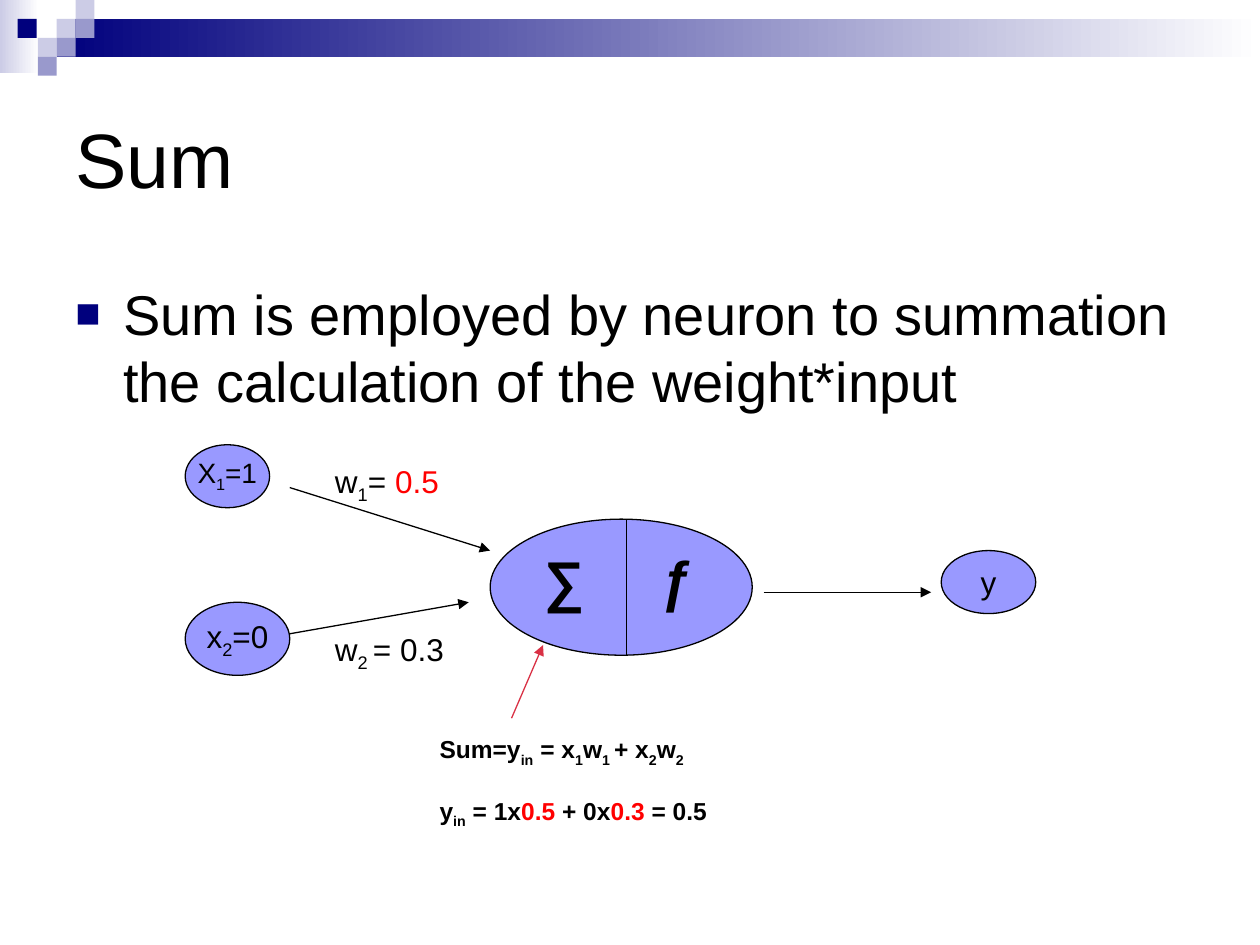
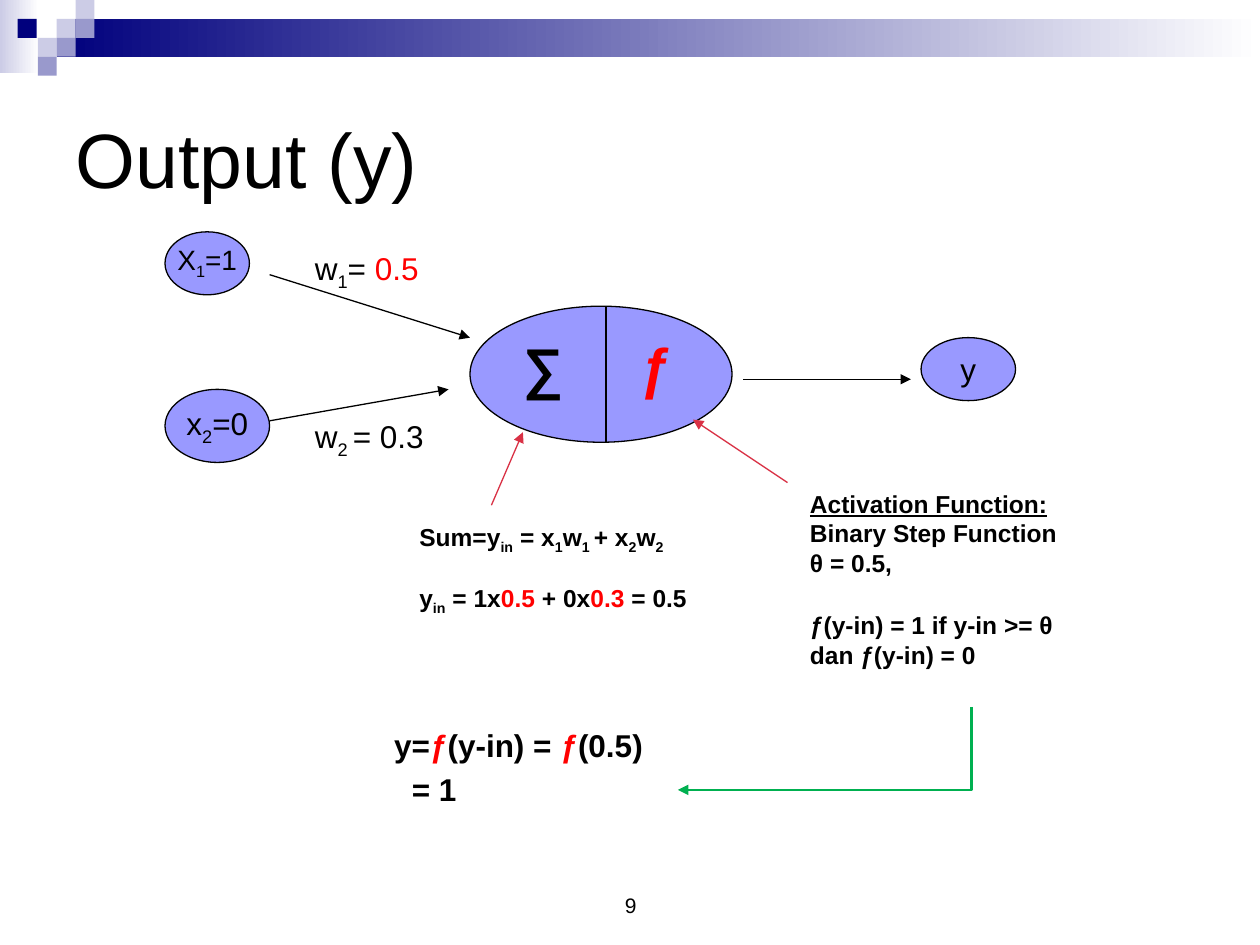
from dataclasses import dataclass

from lxml.etree import SubElement
from pptx import Presentation
from pptx.dml.color import RGBColor
from pptx.enum.shapes import MSO_CONNECTOR, MSO_SHAPE
from pptx.enum.text import MSO_ANCHOR, PP_ALIGN
from pptx.oxml.ns import qn
from pptx.util import Inches, Pt

COLUMNS, ROWS = 100, 75
TITLE_ONLY = 5


@dataclass(frozen=True)
class Theme:
    font: str = "Arial"
    ink: str = "000000"
    accent: str = "FF0000"
    pointer: str = "D93145"
    result: str = "00B050"
    node: str = "9999FF"
    navy: str = "00007D"
    pale: str = "CCCCE6"
    mid: str = "9999CC"
    paper: str = "FFFFFF"
    title: int = 44
    body: int = 32
    label: int = 18
    small_label: int = 16
    note: int = 14
    footer: int = 12
    hairline: float = 0.75
    thick: float = 1.5


@dataclass(frozen=True)
class Piece:
    """A stretch of text that differs from the paragraph around it."""
    text: str
    color: str = ""
    lowered: bool = False
    italic: bool = False
    underline: bool = False


def sub(text):
    return Piece(text, lowered=True)


class Deck:
    def __init__(self, theme):
        self.theme = theme
        self.presentation = Presentation()
        self.presentation.slide_width = Inches(10)
        self.presentation.slide_height = Inches(7.5)
        self.slide = None
        self.origin = (0, 0)

    def place(self, column, row):
        """Turn a grid point, counted from the origin, into slide lengths."""
        column, row = column + self.origin[0], row + self.origin[1]
        return (int(self.presentation.slide_width * column / COLUMNS),
                int(self.presentation.slide_height * row / ROWS))

    def box(self, column, row, width, height):
        left, top = self.place(column, row)
        right, bottom = self.place(column + width, row + height)
        return left, top, right - left, bottom - top

    def start_slide(self, heading):
        layout = self.presentation.slide_layouts[TITLE_ONLY]
        self.slide = self.presentation.slides.add_slide(layout)
        self.origin = (0, 0)
        title = self.slide.shapes.title
        title.left, title.top, title.width, title.height = self.box(5, 5, 90, 15)
        title.text_frame.vertical_anchor = MSO_ANCHOR.MIDDLE
        self.fill_frame(title.text_frame, [[heading]], self.theme.title)

    def fill_frame(self, frame, lines, size, bold=False, align=PP_ALIGN.LEFT, gaps=()):
        """Fill a frame; each line is a list of strings and Pieces."""
        for index, line in enumerate(lines):
            paragraph = frame.add_paragraph() if index else frame.paragraphs[0]
            paragraph.alignment = align
            if index and gaps:
                paragraph.space_before = Pt(gaps[index - 1])
            for part in line:
                piece = part if isinstance(part, Piece) else Piece(part)
                run = paragraph.add_run()
                run.text = piece.text
                font = run.font
                font.name, font.size, font.bold = self.theme.font, Pt(size), bold
                font.italic, font.underline = piece.italic, piece.underline
                font.color.rgb = RGBColor.from_string(piece.color or self.theme.ink)
                if piece.lowered:
                    run._r.get_or_add_rPr().set("baseline", "-25000")

    def text(self, area, lines, size, wrap=True, anchor=MSO_ANCHOR.TOP, **style):
        frame = self.slide.shapes.add_textbox(*self.box(*area)).text_frame
        frame.word_wrap = wrap
        frame.vertical_anchor = anchor
        self.fill_frame(frame, lines, size, **style)
        return frame

    def bullet(self, area, line):
        paragraph = self.text(area, [line], self.theme.body).paragraphs[0]
        properties = paragraph._p.get_or_add_pPr()
        properties.set("marL", str(Inches(0.38)))
        properties.set("indent", str(Inches(-0.38)))
        color = SubElement(properties, qn("a:buClr"))
        SubElement(color, qn("a:srgbClr"), val=self.theme.navy)
        SubElement(properties, qn("a:buSzPct"), val="75000")
        SubElement(properties, qn("a:buFont"), typeface=self.theme.font)
        SubElement(properties, qn("a:buChar"), char="■")

    def block(self, area, *colors):
        """Borderless rectangle: one colour is solid, two fade left to right."""
        block = self.slide.shapes.add_shape(MSO_SHAPE.RECTANGLE, *self.box(*area))
        block.shadow.inherit = False
        block.line.fill.background()
        if len(colors) == 1:
            block.fill.solid()
            block.fill.fore_color.rgb = RGBColor.from_string(colors[0])
        else:
            block.fill.gradient()
            block.fill.gradient_angle = 0
            for stop, color, position in zip(block.fill.gradient_stops, colors, (0, 1)):
                stop.color.rgb = RGBColor.from_string(color)
                stop.position = position
        return block

    def node(self, area, line=()):
        node = self.slide.shapes.add_shape(MSO_SHAPE.OVAL, *self.box(*area))
        node.shadow.inherit = False
        node.fill.solid()
        node.fill.fore_color.rgb = RGBColor.from_string(self.theme.node)
        node.line.color.rgb = RGBColor.from_string(self.theme.ink)
        node.line.width = Pt(self.theme.hairline)
        if line:
            node.text_frame.word_wrap = False
            node.text_frame.vertical_anchor = MSO_ANCHOR.MIDDLE
            self.fill_frame(node.text_frame, [line], self.theme.label, align=PP_ALIGN.CENTER)

    def link(self, start, end, color="", width=0, arrow=True, kind=MSO_CONNECTOR.STRAIGHT):
        link = self.slide.shapes.add_connector(kind, *self.place(*start), *self.place(*end))
        link.line.color.rgb = RGBColor.from_string(color or self.theme.ink)
        link.line.width = Pt(width or self.theme.hairline)
        properties = link.element.spPr
        if arrow:
            SubElement(properties.find(qn("a:ln")), qn("a:tailEnd"), type="triangle")
        SubElement(properties, qn("a:effectLst"))
        return link

    def down_then_left(self, start, end, color, width):
        """One-corner arrow: a quarter turn of the right-then-down connector."""
        center_x, center_y = (start[0] + end[0]) / 2, (start[1] + end[1]) / 2
        half_drop, half_run = (end[1] - start[1]) / 2, (start[0] - end[0]) / 2
        link = self.link((center_x - half_drop, center_y - half_run),
                         (center_x + half_drop, center_y + half_run),
                         color, width, kind=MSO_CONNECTOR.ELBOW)
        properties = link.element.spPr
        properties.find(qn("a:xfrm")).set("rot", str(90 * 60000))
        properties.find(qn("a:prstGeom")).set("prst", "bentConnector2")

    def decorate_master(self):
        """Draw the top band and its squares, then move them to the master."""
        theme = self.theme
        band = [self.block((0, 0, 3.1, 5.8), theme.pale, theme.paper),
                self.block((4.5, 1.5, 95.5, 3), theme.navy, theme.paper)]
        squares = [(4.5, 1.5, theme.pale), (6, 0, theme.pale), (6, 1.5, theme.mid),
                   (3, 3, theme.pale), (1.4, 1.5, theme.navy), (4.5, 3, theme.mid),
                   (3, 4.5, theme.mid)]
        band += [self.block((column, row, 1.5, 1.5), color) for column, row, color in squares]
        master_tree = self.presentation.slide_master.shapes.element
        for position, part in enumerate(band, start=2):
            master_tree.insert(position, part.element)

    def neuron(self, column, row, function_color):
        """Two weighted inputs, the neuron and its output, from a top-left point."""
        theme = self.theme
        self.origin = (column, row)
        self.node((0, 0, 6.7, 5))
        self.node((0, 12.5, 8.3, 5.8), ["x", sub("2"), "=0"])
        self.node((24.2, 5.9, 20.8, 10.8))
        self.node((60, 8.4, 7.5, 5), ["y"])
        self.link((8.3, 15), (22.5, 12.5))
        self.link((8.3, 3.4), (24.2, 8.4))
        self.link((45.9, 11.7), (59.2, 11.7))
        self.link((35, 5.9), (35, 16.7), arrow=False)
        self.link((25.9, 21.7), (28.4, 15.9), theme.pointer)
        self.text((0, 0.4, 8.3, 3.7), [["X", sub("1"), "=1"]], theme.small_label)
        self.text((10.9, 0.9, 15.8, 4),
                  [["w", sub("1"), "= ", Piece("0.5", theme.accent)]], theme.label)
        self.text((10.9, 14.2, 12.5, 4), [["w", sub("2 "), "= 0.3"]], theme.label)
        self.text((27.5, 7.5, 5, 6.3), [["∑"]], theme.body, bold=True)
        self.text((36.7, 7.5, 5, 6.3), [[Piece("ƒ", function_color, italic=True)]],
                  theme.body, bold=True)
        weighted_sum = ["Sum=y", sub("in"), " = x", sub("1"), "w", sub("1 "),
                        "+ x", sub("2"), "w", sub("2")]
        worked_sum = ["y", sub("in"), " = 1x", Piece("0.5 ", theme.accent),
                      "+ 0x", Piece("0.3", theme.accent), " = 0.5"]
        self.text((19.2, 22.5, 23.3, 7.3), [weighted_sum, worked_sum], theme.note,
                  wrap=False, bold=True, gaps=[16])
        self.origin = (0, 0)


def build_sum(deck):
    deck.start_slide("Sum")
    deck.decorate_master()
    deck.bullet((5, 21.7, 90, 42.5),
                ["Sum is employed by neuron to summation the calculation of the weight*input"])
    deck.neuron(14.7, 35.3, deck.theme.ink)


def build_output(deck):
    theme = deck.theme
    deck.start_slide("Output (y)")
    deck.neuron(13.1, 18.4, theme.accent)
    deck.link((62.5, 38.3), (55, 33.3), theme.pointer)
    activation = [[Piece("Activation Function:", underline=True)],
                  ["Binary Step Function"],
                  ["θ = 0.5,"],
                  ["ƒ(y-in) = 1 if y-in >= θ"],
                  ["dan ƒ(y-in) = 0"]]
    deck.text((63.3, 38.3, 27.5, 17.8), activation, theme.note, bold=True,
              gaps=[0, 0, 19, 0])
    red_function = Piece("ƒ", theme.accent)
    answer = deck.text((30.3, 57.1, 23.5, 11.3),
                       [["y=", red_function, "(y-in) = ", red_function, "(0.5)"], ["= 1"]],
                       theme.label, bold=True, gaps=[4])
    answer.paragraphs[1]._p.get_or_add_pPr().set("marL", str(Inches(0.14)))
    deck.down_then_left((77.1, 56.1), (53.8, 62.7), theme.result, theme.thick)
    deck.text((34.2, 68.3, 31.7, 5), [["9"]], theme.footer,
              anchor=MSO_ANCHOR.BOTTOM, align=PP_ALIGN.CENTER)


def main():
    deck = Deck(Theme())
    build_sum(deck)
    build_output(deck)
    deck.presentation.save("out.pptx")


if __name__ == "__main__":
    main()
